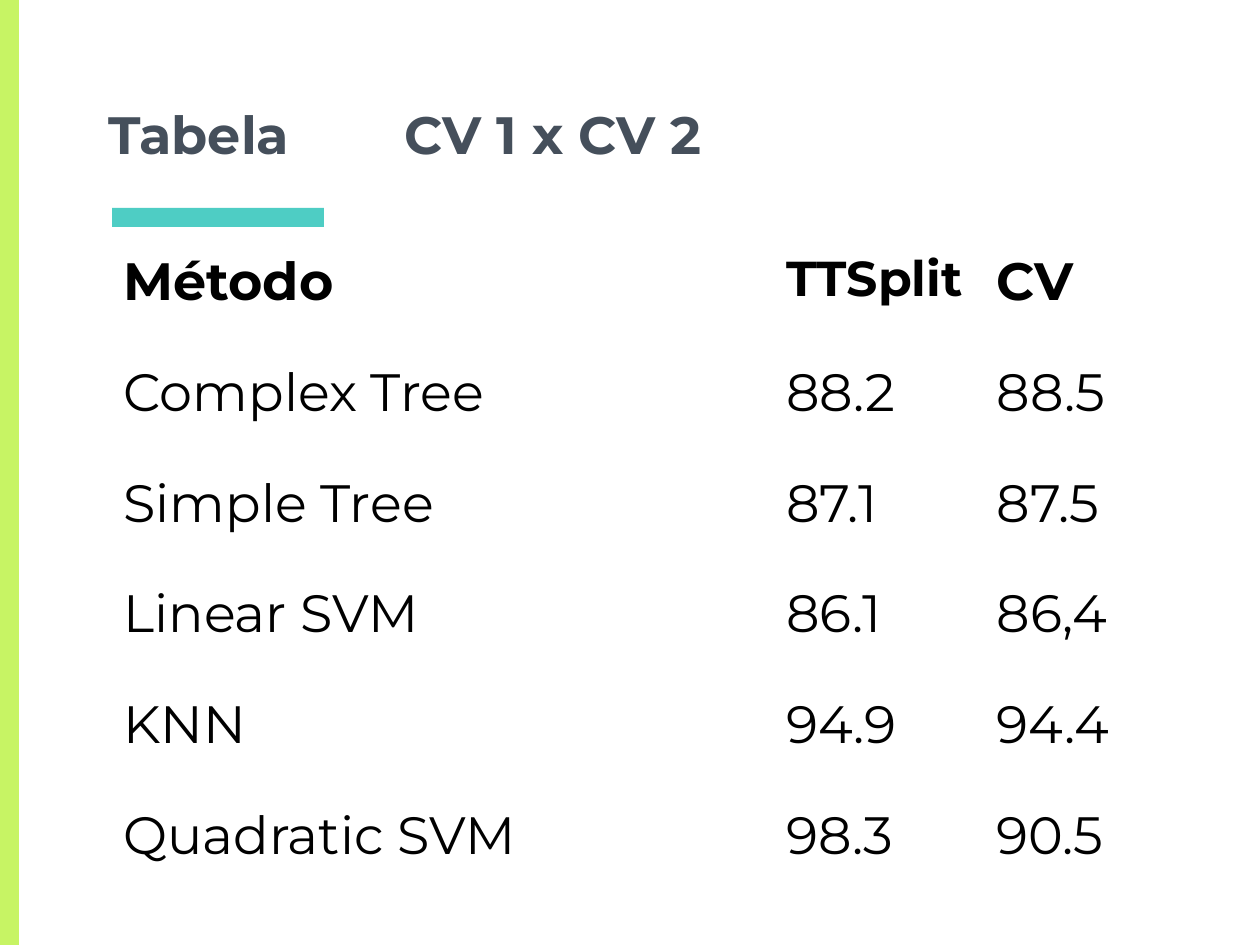
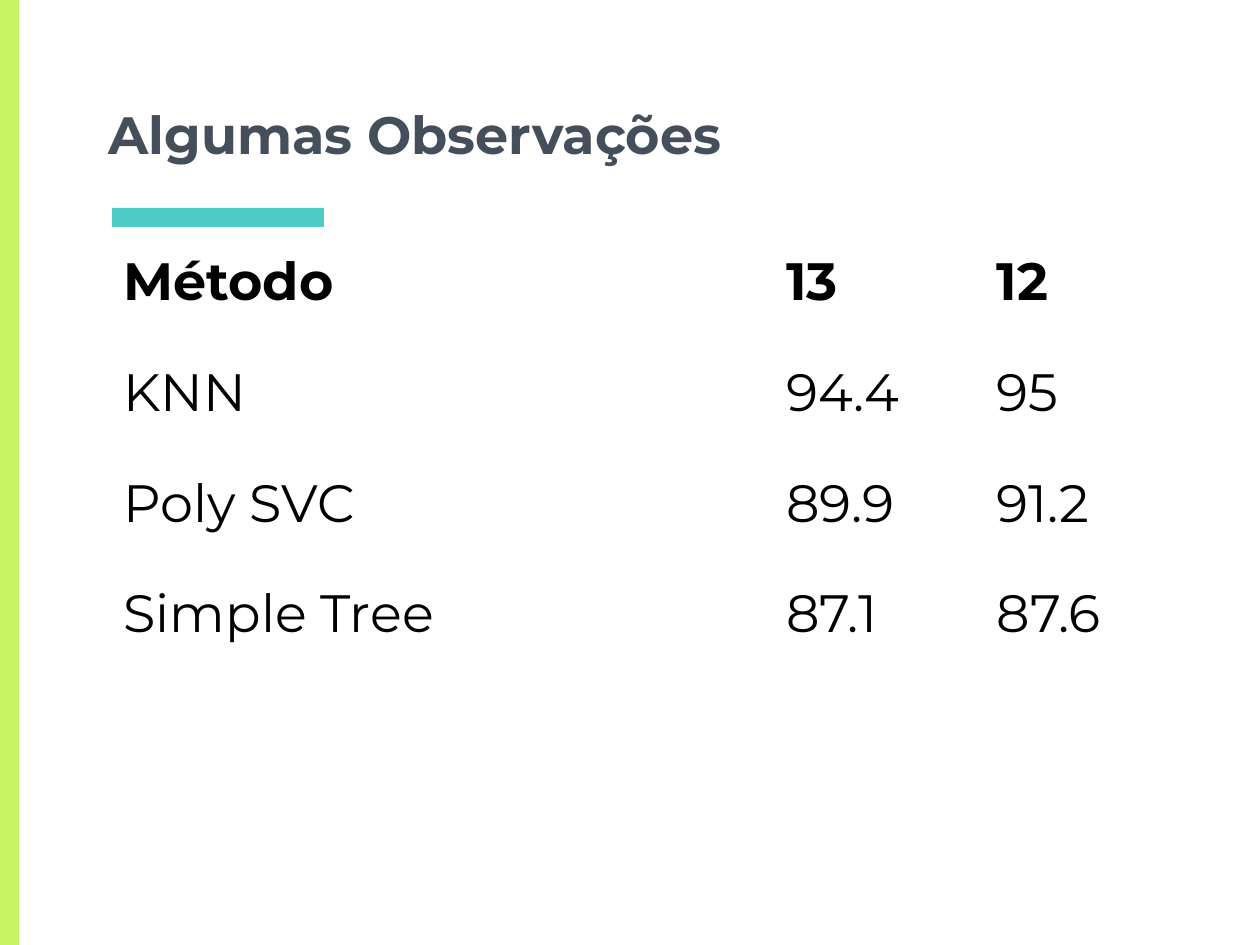
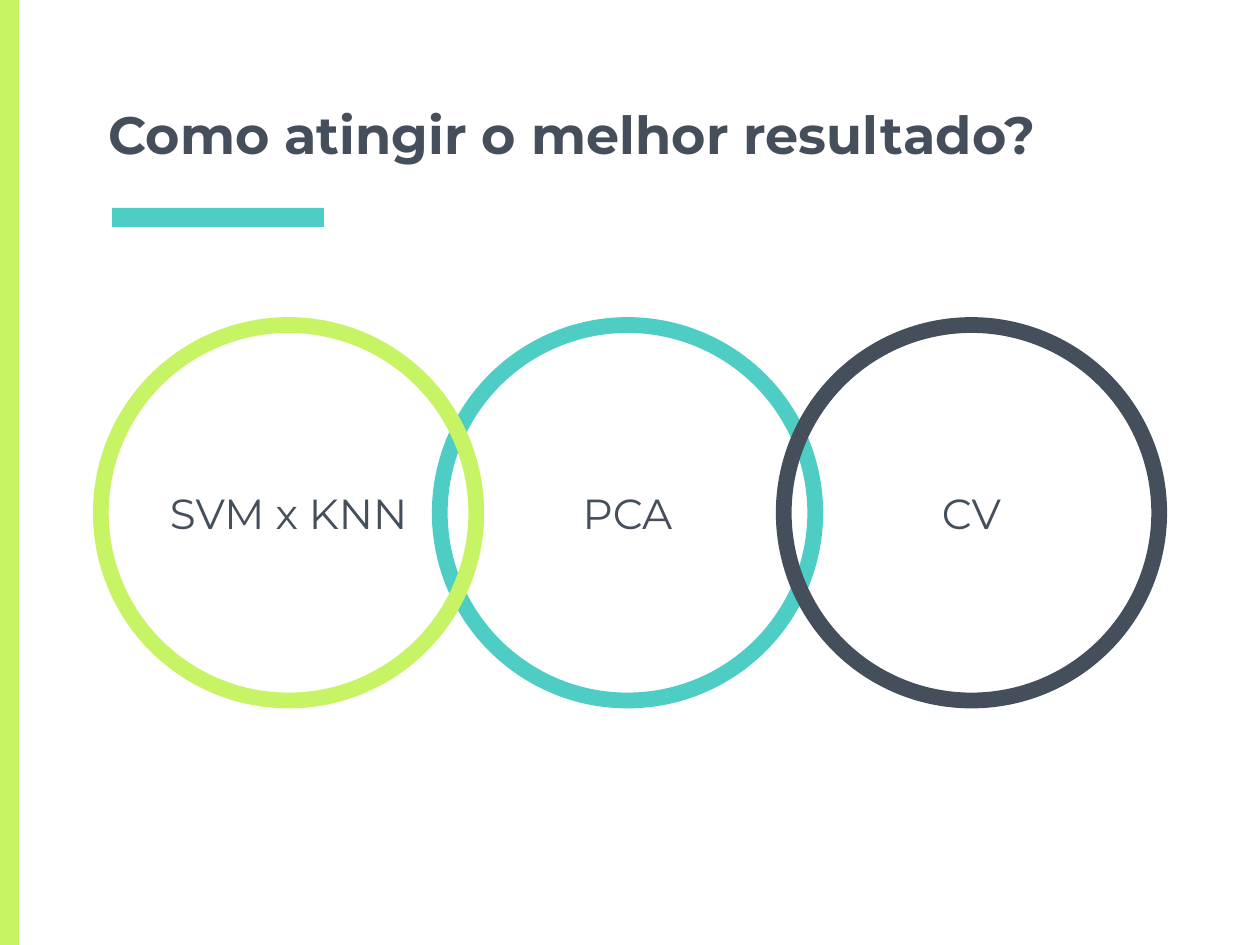
from dataclasses import dataclass

from lxml import etree
from pptx import Presentation
from pptx.dml.color import RGBColor
from pptx.enum.shapes import MSO_SHAPE
from pptx.enum.text import MSO_ANCHOR, MSO_AUTO_SIZE, PP_ALIGN
from pptx.oxml.ns import qn
from pptx.util import Inches, Pt

RECTANGLE, OVAL = MSO_SHAPE.RECTANGLE, MSO_SHAPE.OVAL
LEFT, CENTER = PP_ALIGN.LEFT, PP_ALIGN.CENTER
MIDDLE, BOTTOM = MSO_ANCHOR.MIDDLE, MSO_ANCHOR.BOTTOM
NO_FIT = MSO_AUTO_SIZE.NONE


@dataclass(frozen=True)
class Theme:
    font: str = "Montserrat"
    lime: str = "C7F464"
    teal: str = "4ECDC4"
    slate: str = "454F5B"
    black: str = "000000"
    large: int = 30
    narrow: int = 28
    label: int = 24
    inset: float = 0.1


THEME = Theme()
TITLE_ONLY = 5
TITLE_TAB = 2.35
COLUMN_WIDTHS = (5.26, 1.67, 1.67)
ROW_HEIGHT = 0.88
RING_TOP, RING_SIZE, RING_LINE = 2.58, 2.98, 9

TABLE_SLIDES = [
    ("Tabela\tCV 1 x CV 2", [
        ("Método", "TTSplit", "CV"),
        ("Complex Tree", "88.2", "88.5"),
        ("Simple Tree", "87.1", "87.5"),
        ("Linear SVM", "86.1", "86,4"),
        ("KNN", "94.9", "94.4"),
        ("Quadratic SVM", "98.3", "90.5"),
    ]),
    ("Algumas Observações", [
        ("Método", "13", "12"),
        ("KNN", "94.4", "95"),
        ("Poly SVC", "89.9", "91.2"),
        ("Simple Tree", "87.1", "87.6"),
    ]),
]
NARROW_HEADINGS = {"TTSplit"}

RINGS_TITLE = "Como atingir o melhor resultado?"
RINGS = [
    ("PCA", 3.49, THEME.teal),
    ("SVM x KNN", 0.8, THEME.lime),
    ("CV", 6.22, THEME.slate),
]


def box(left, top, width, height):
    return [Inches(value) for value in (left, top, width, height)]


def write(paragraph, text, size, color, bold=False):
    run = paragraph.add_run()
    run.text = text
    run.font.name = THEME.font
    run.font.size = Pt(size)
    run.font.bold = bold
    run.font.color.rgb = RGBColor.from_string(color)


def set_insets(holder):
    holder.margin_left = holder.margin_right = Inches(THEME.inset)
    holder.margin_top = holder.margin_bottom = Inches(THEME.inset)


def add_band(slide, place, color):
    band = slide.shapes.add_shape(RECTANGLE, *box(*place))
    band.shadow.inherit = False
    band.fill.solid()
    band.fill.fore_color.rgb = RGBColor.from_string(color)
    band.line.fill.background()


def add_tab_stop(paragraph, position):
    properties = paragraph._p.get_or_add_pPr()
    stops = etree.SubElement(properties, qn("a:tabLst"))
    etree.SubElement(stops, qn("a:tab"), pos=str(Inches(position)), algn="l")


def add_titled_slide(deck, heading):
    slide = deck.slides.add_slide(deck.slide_layouts[TITLE_ONLY])
    add_band(slide, (0, 0, 0.15, 7.5), THEME.lime)
    add_band(slide, (0.89, 1.65, 1.68, 0.15), THEME.teal)
    title = slide.shapes.title
    title.left, title.top, title.width, title.height = box(0.76, 0.69, 8.49, 0.72)
    frame = title.text_frame
    set_insets(frame)
    frame.word_wrap = True
    frame.auto_size = NO_FIT
    frame.vertical_anchor = BOTTOM
    paragraph = frame.paragraphs[0]
    paragraph.alignment = LEFT
    if "\t" in heading:
        add_tab_stop(paragraph, TITLE_TAB)
    write(paragraph, heading, THEME.large, THEME.slate, bold=True)
    return slide


def add_results(slide, rows):
    place = box(0.88, 1.88, sum(COLUMN_WIDTHS), ROW_HEIGHT * len(rows))
    results = slide.shapes.add_table(len(rows), len(COLUMN_WIDTHS), *place).table
    results.first_row = results.horz_banding = False
    for column, width in zip(results.columns, COLUMN_WIDTHS):
        column.width = Inches(width)
    for row_index, row in enumerate(rows):
        results.rows[row_index].height = Inches(ROW_HEIGHT)
        for column_index, text in enumerate(row):
            cell = results.cell(row_index, column_index)
            cell.fill.background()
            set_insets(cell)
            paragraph = cell.text_frame.paragraphs[0]
            size = THEME.large
            if text in NARROW_HEADINGS:
                size = THEME.narrow
                paragraph.space_before = Pt(6)
            write(paragraph, text, size, THEME.black, bold=row_index == 0)


def add_ring(slide, text, left, color):
    ring = slide.shapes.add_shape(OVAL, *box(left, RING_TOP, RING_SIZE, RING_SIZE))
    ring.shadow.inherit = False
    ring.fill.background()
    ring.line.color.rgb = RGBColor.from_string(color)
    ring.line.width = Pt(RING_LINE)
    frame = ring.text_frame
    set_insets(frame)
    frame.word_wrap = True
    frame.vertical_anchor = MIDDLE
    paragraph = frame.paragraphs[0]
    paragraph.alignment = CENTER
    write(paragraph, text, THEME.label, THEME.slate)


def main():
    deck = Presentation()
    deck.slide_width, deck.slide_height = Inches(10), Inches(7.5)
    for heading, rows in TABLE_SLIDES:
        add_results(add_titled_slide(deck, heading), rows)
    rings_slide = add_titled_slide(deck, RINGS_TITLE)
    for text, left, color in RINGS:
        add_ring(rings_slide, text, left, color)
    deck.save("out.pptx")


if __name__ == "__main__":
    main()
